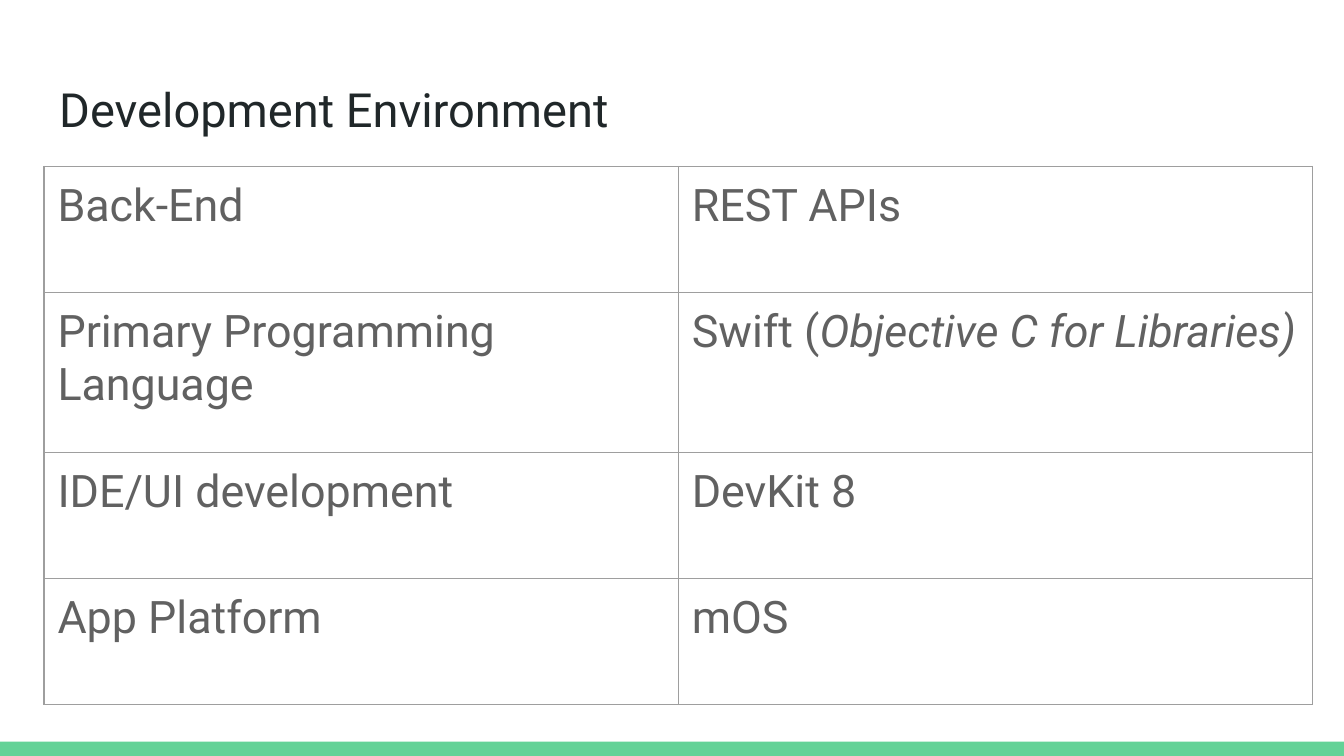
from lxml import etree
from pptx import Presentation
from pptx.dml.color import RGBColor
from pptx.enum import shapes, text
from pptx.oxml import ns
from pptx.util import Pt

GREEN = RGBColor(0x63, 0xD2, 0x97)
DARK = RGBColor(0x20, 0x27, 0x29)
GREY = RGBColor(0x61, 0x61, 0x61)
BORDER = RGBColor(0x9E, 0x9E, 0x9E)

WIDTH, HEIGHT = 720, 405
FONT = "Roboto"
INSET = Pt(7.2)
MARGINS = {f"margin_{side}": INSET for side in ("left", "top", "right", "bottom")}

TITLE_FORMAT = {"name": FONT, "size": Pt(25.2), "bold": False}
CELL_FORMAT = {"name": FONT, "size": Pt(24), "bold": False}

# Each cell is a list of (text, italic) runs
ENVIRONMENT = [
    ([("Back-End", False)], [("REST APIs", False)]),
    ([("Primary Programming Language", False)],
     [("Swift (", False), ("Objective C for Libraries)", True)]),
    ([("IDE/UI development", False)], [("DevKit 8", False)]),
    ([("App Platform", False)], [("mOS", False)]),
]
COLUMN_WIDTH = 339.8
ROW_HEIGHTS = [67.5, 85.7, 67.5, 67.5]


def set_attributes(target, values):
    for name, value in values.items():
        setattr(target, name, value)


def add_run(paragraph, content, font_format, color, italic=False):
    run = paragraph.add_run()
    run.text = content
    set_attributes(run.font, {**font_format, "italic": italic})
    run.font.color.rgb = color


def add_title(slide, content):
    title = slide.shapes.title
    set_attributes(title, {"left": Pt(24.5), "top": Pt(35.3),
                           "width": Pt(671), "height": Pt(45.4)})
    frame = title.text_frame
    set_attributes(frame, {**MARGINS, "word_wrap": True,
                           "auto_size": text.MSO_AUTO_SIZE.NONE,
                           "vertical_anchor": text.MSO_ANCHOR.MIDDLE})
    paragraph = frame.paragraphs[0]
    paragraph.alignment = text.PP_ALIGN.LEFT
    add_run(paragraph, content, TITLE_FORMAT, DARK)


def add_footer_bar(slide):
    thickness = 7.7
    bar = slide.shapes.add_shape(shapes.MSO_SHAPE.RECTANGLE, 0,
                                 Pt(HEIGHT - thickness), Pt(WIDTH), Pt(thickness))
    bar.shadow.inherit = False
    bar.fill.solid()
    bar.fill.fore_color.rgb = GREEN
    bar.line.fill.background()


def add_borders(cell):
    properties = cell._tc.get_or_add_tcPr()
    for position, side in enumerate(("lnL", "lnR", "lnT", "lnB")):
        line = etree.Element(ns.qn(f"a:{side}"), w=str(Pt(0.75)))
        fill = etree.SubElement(line, ns.qn("a:solidFill"))
        etree.SubElement(fill, ns.qn("a:srgbClr"), val=str(BORDER))
        properties.insert(position, line)


def fill_cell(cell, runs):
    set_attributes(cell, {**MARGINS, "vertical_anchor": text.MSO_ANCHOR.TOP})
    cell.fill.background()
    add_borders(cell)
    for content, italic in runs:
        add_run(cell.text_frame.paragraphs[0], content, CELL_FORMAT, GREY, italic)


def add_environment_table(slide):
    frame = slide.shapes.add_table(len(ENVIRONMENT), 2, Pt(23.6), Pt(89.2),
                                   Pt(2 * COLUMN_WIDTH), Pt(sum(ROW_HEIGHTS)))
    table = frame.table
    set_attributes(table, {"first_row": False, "horz_banding": False})
    for column in table.columns:
        column.width = Pt(COLUMN_WIDTH)
    for row, height, contents in zip(table.rows, ROW_HEIGHTS, ENVIRONMENT):
        row.height = Pt(height)
        for cell, runs in zip(row.cells, contents):
            fill_cell(cell, runs)


def main():
    presentation = Presentation()
    set_attributes(presentation, {"slide_width": Pt(WIDTH), "slide_height": Pt(HEIGHT)})
    slide = presentation.slides.add_slide(presentation.slide_layouts[5])

    # Footer bar, heading and table, from back to front
    add_footer_bar(slide)
    add_title(slide, "Development Environment")
    add_environment_table(slide)

    presentation.save("out.pptx")


if __name__ == "__main__":
    main()
